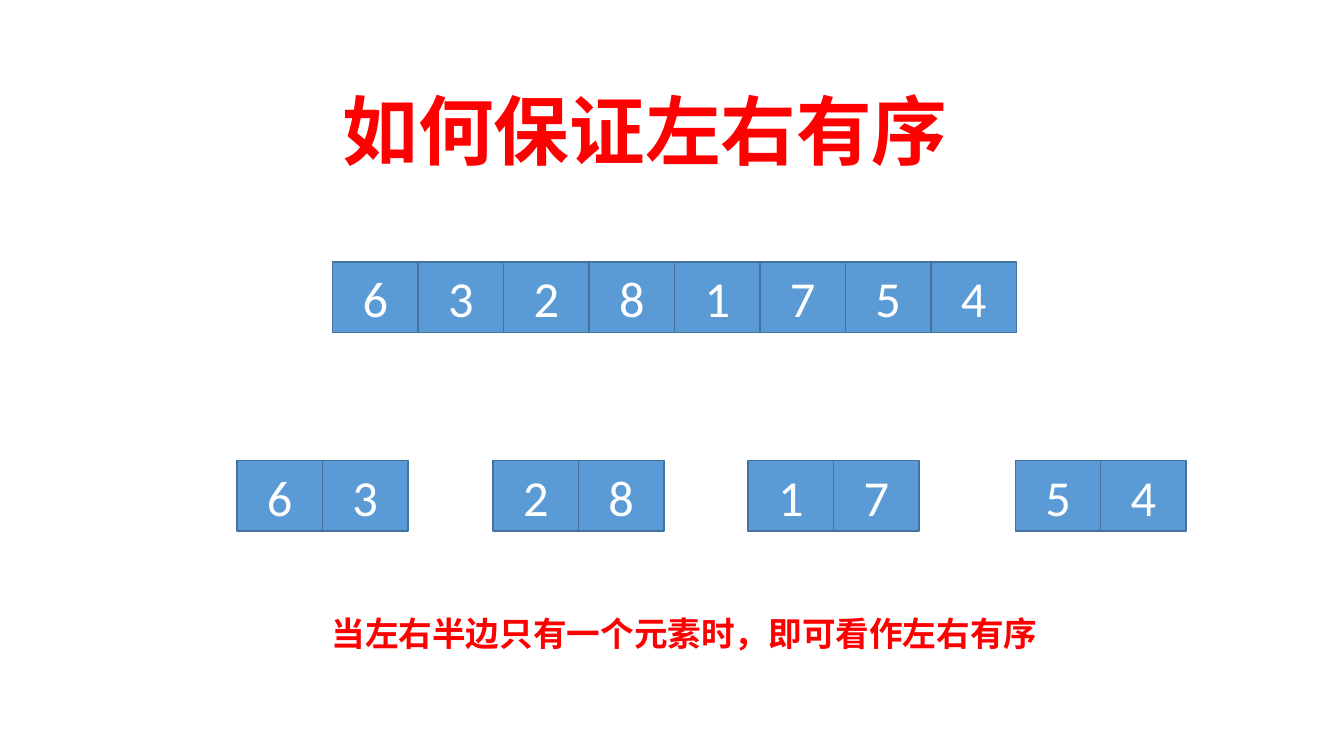
import pptx
import pptx.util
import pptx.dml.color
import pptx.enum.shapes
import pptx.enum.text

Inches = pptx.util.Inches
Pt = pptx.util.Pt
RGBColor = pptx.dml.color.RGBColor

RED = RGBColor(0xFF, 0x00, 0x00)
WHITE = RGBColor(0xFF, 0xFF, 0xFF)
BLUE = RGBColor(0x5B, 0x9B, 0xD5)
EDGE = RGBColor(0x43, 0x73, 0x9E)

STEP = 6.78 / 8


class Board:
    def __init__(self, slide):
        self.slide = slide
        self.font = "Calibri"

    def add_text(self, para, text, size, color, bold=False):
        run = para.add_run()
        run.text = text
        run.font.name = self.font
        run.font.size = Pt(size)
        run.font.bold = bold
        run.font.color.rgb = color

    def label(self, left, top, width, height, text, size):
        box = self.slide.shapes.add_textbox(
            Inches(left), Inches(top), Inches(width), Inches(height))
        frame = box.text_frame
        frame.word_wrap = True
        frame.auto_size = pptx.enum.text.MSO_AUTO_SIZE.SHAPE_TO_FIT_TEXT
        self.add_text(frame.paragraphs[0], text, size, RED, True)

    def cell(self, left, top, text):
        box = self.slide.shapes.add_shape(
            pptx.enum.shapes.MSO_SHAPE.RECTANGLE,
            Inches(left), Inches(top), Inches(STEP), Inches(0.7))
        box.shadow.inherit = False
        box.fill.solid()
        box.fill.fore_color.rgb = BLUE
        box.line.color.rgb = EDGE
        box.line.width = Pt(1)
        frame = box.text_frame
        frame.vertical_anchor = pptx.enum.text.MSO_ANCHOR.MIDDLE
        para = frame.paragraphs[0]
        para.alignment = pptx.enum.text.PP_ALIGN.CENTER
        self.add_text(para, text, 36, WHITE)

    def array(self, left, top, digits):
        for index, digit in enumerate(digits):
            self.cell(left + index * STEP, top, digit)


def main():
    deck = pptx.Presentation()
    deck.slide_width = Inches(13.33)
    deck.slide_height = Inches(7.5)
    board = Board(deck.slides.add_slide(deck.slide_layouts[6]))

    board.label(3.3, 0.78, 6.85, 1.01, "如何保证左右有序", 54)
    board.array(3.3, 2.6, "63281754")
    pairs = [(2.35, "63"), (4.89, "28"), (7.42, "17"), (10.07, "54")]
    for left, digits in pairs:
        board.array(left, 4.57, digits)
    board.label(3.19, 6.03, 10.47, 0.5,
                "当左右半边只有一个元素时，即可看作左右有序", 24)

    deck.save("out.pptx")


if __name__ == "__main__":
    main()
